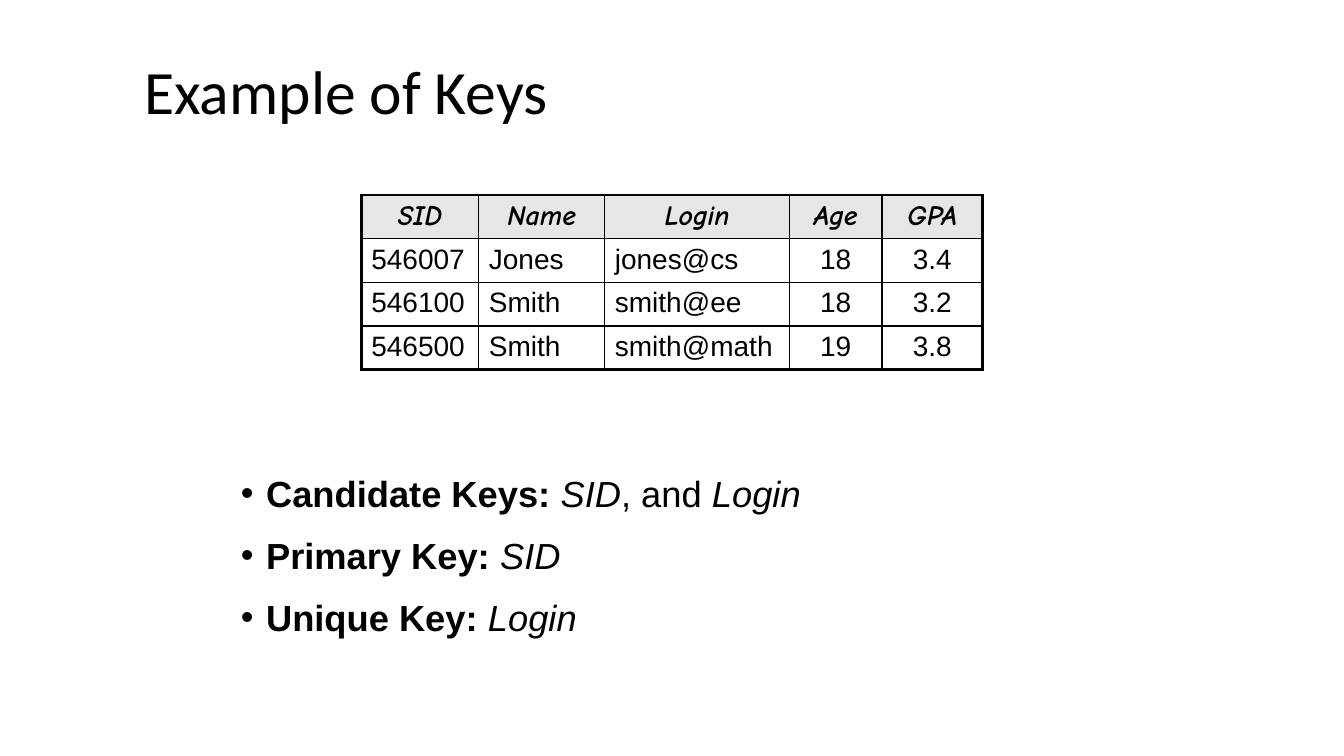
from dataclasses import dataclass

from lxml.etree import SubElement
from pptx import Presentation
from pptx.dml.color import RGBColor
from pptx.enum.text import MSO_ANCHOR, PP_ALIGN
from pptx.oxml.ns import qn
from pptx.util import Emu, Inches, Pt

WIDE, HIGH = Inches(13.33), Inches(7.5)
COLS, ROWS = 160, 90


@dataclass(frozen=True)
class Theme:
    ink: RGBColor = RGBColor(0, 0, 0)
    shade: RGBColor = RGBColor(0xE7, 0xE6, 0xE6)
    head: str = "Calibri"
    body: str = "Arial"
    label: str = "Comic Neue"
    big: float = 44
    mid: float = 25.9
    small: float = 20
    thin: float = 1
    thick: float = 2.25


THEME = Theme()

STUDENTS = [
    ["SID", "Name", "Login", "Age", "GPA"],
    ["546007", "Jones", "jones@cs", "18", "3.4"],
    ["546100", "Smith", "smith@ee", "18", "3.2"],
    ["546500", "Smith", "smith@math", "19", "3.8"],
]
WIDTHS = [14, 15, 22, 11, 12]
TALL = 5.2
CENTRED = 3  # columns from here on are centred

# Each run is (text, bold, italic)
KEYS = [
    [("Candidate Keys: ", True, False), ("SID", False, True),
     (", and ", False, False), ("Login", False, True)],
    [("Primary Key: ", True, False), ("SID", False, True)],
    [("Unique Key: ", True, False), ("Login", False, True)],
]


def across(count):
    return Emu(round(WIDE * count / COLS))


def down(count):
    return Emu(round(HIGH * count / ROWS))


def place(left, top, wide, tall):
    return across(left), down(top), across(wide), down(tall)


def style(run, face, size, bold=False, italic=False):
    font = run.font
    font.name, font.size = face, Pt(size)
    font.bold, font.italic = bold, italic
    font.color.rgb = THEME.ink


def add_box(slide, *area):
    frame = slide.shapes.add_textbox(*place(*area)).text_frame
    frame.word_wrap = True
    return frame


def add_title(slide, text):
    frame = add_box(slide, 16, 7.7, 140, 7)
    frame.vertical_anchor = MSO_ANCHOR.MIDDLE
    frame.text = text
    para = frame.paragraphs[0]
    para.line_spacing = 0.9
    style(para.runs[0], THEME.head, THEME.big)


def add_bullet(para):
    props = para._p.get_or_add_pPr()
    props.set("marL", str(Inches(0.25)))
    props.set("indent", str(-Inches(0.25)))
    SubElement(props, qn("a:buFont"), typeface=THEME.body)
    SubElement(props, qn("a:buChar"), char="•")


def add_list(slide, items):
    frame = add_box(slide, 27.5, 55, 105, 22)
    for index, item in enumerate(items):
        para = frame.add_paragraph() if index else frame.paragraphs[0]
        para.line_spacing, para.space_before = 1.1, Pt(10)
        add_bullet(para)
        for text, bold, italic in item:
            run = para.add_run()
            run.text = text
            style(run, THEME.body, THEME.mid, bold, italic)


def add_edges(cell, outer):
    """Draw all four cell borders, thick on the sides named in outer."""
    props = cell._tc.get_or_add_tcPr()
    for side in "LRTB":
        width = THEME.thick if side in outer else THEME.thin
        line = SubElement(props, qn(f"a:ln{side}"), w=str(Pt(width)))
        fill = SubElement(line, qn("a:solidFill"))
        SubElement(fill, qn("a:srgbClr"), val=str(THEME.ink))


def fill_cell(cell, text, header, centred):
    cell.text = text
    para = cell.text_frame.paragraphs[0]
    para.alignment = PP_ALIGN.CENTER if centred else PP_ALIGN.LEFT
    face = THEME.label if header else THEME.body
    style(para.runs[0], face, THEME.small, header, header)
    if header:
        cell.fill.solid()
        cell.fill.fore_color.rgb = THEME.shade
    else:
        cell.fill.background()


def add_grid(slide, data):
    last, end = len(data) - 1, len(WIDTHS) - 1
    area = place(43, 23.2, sum(WIDTHS), TALL * len(data))
    table = slide.shapes.add_table(len(data), len(WIDTHS), *area).table
    table.first_row = table.horz_banding = False
    for col, width in zip(table.columns, WIDTHS):
        col.width = across(width)
    for y, record in enumerate(data):
        table.rows[y].height = down(TALL)
        for x, text in enumerate(record):
            cell = table.cell(y, x)
            sides = {"L": x == 0, "R": x == end, "T": y == 0, "B": y == last}
            add_edges(cell, [side for side, edge in sides.items() if edge])
            fill_cell(cell, text, y == 0, y == 0 or x >= CENTRED)


def main():
    deck = Presentation()
    deck.slide_width, deck.slide_height = WIDE, HIGH
    slide = deck.slides.add_slide(deck.slide_layouts[6])
    add_title(slide, "Example of Keys")
    add_grid(slide, STUDENTS)
    add_list(slide, KEYS)
    deck.save("out.pptx")


if __name__ == "__main__":
    main()
